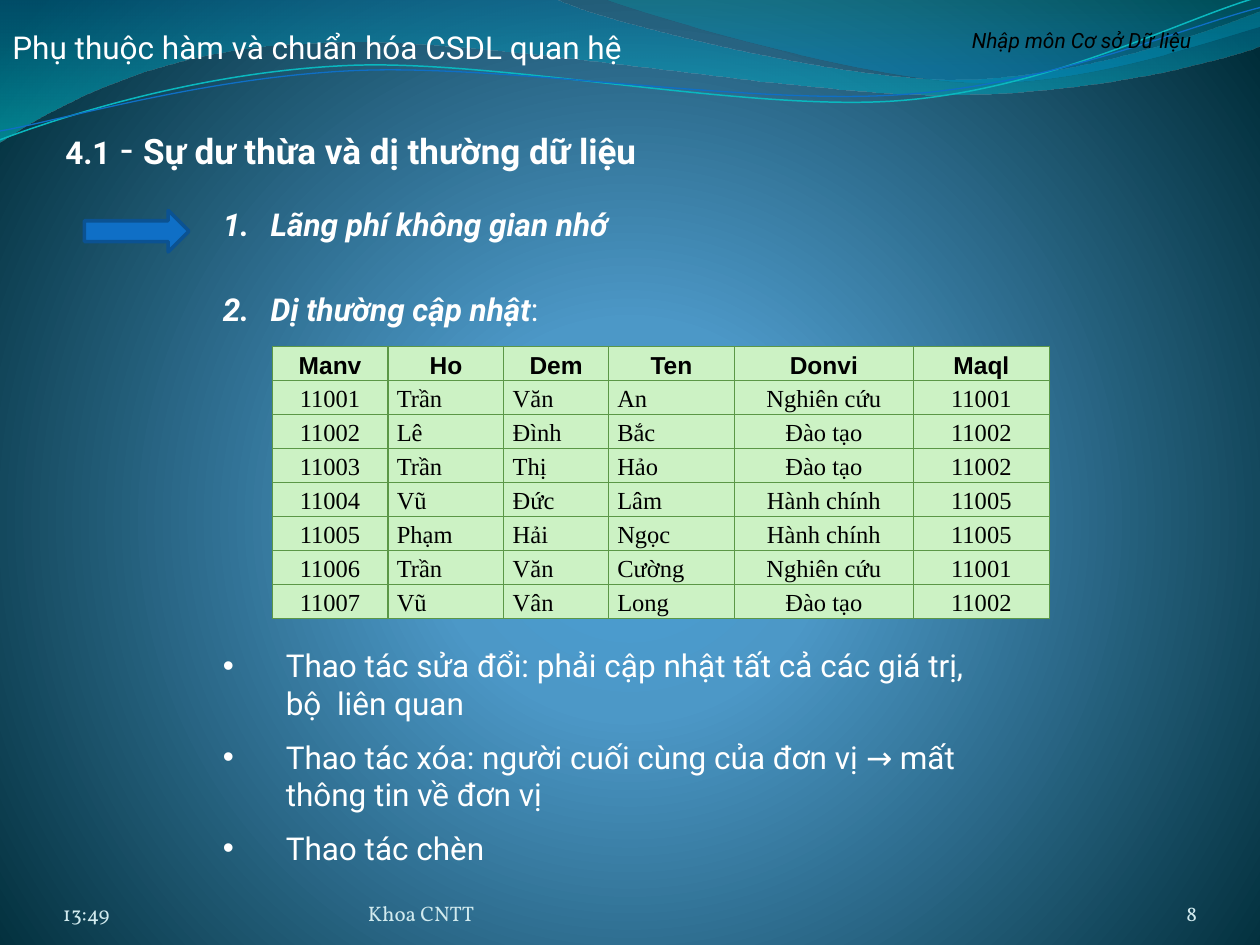
import pptx
import pptx.dml.color
import pptx.enum.shapes
import pptx.enum.text
import pptx.oxml.ns
import pptx.util
from lxml import etree

Inches = pptx.util.Inches
Pt = pptx.util.Pt
ALIGN = pptx.enum.text.PP_ALIGN
ANCHOR = pptx.enum.text.MSO_ANCHOR
qn = pptx.oxml.ns.qn

COLORS = {
    "glow": "4AA0D6", "mid": "4C98C7", "edge": "002C38",
    "deep": "0074A1", "aqua": "00C6CF", "teal": "00A1A9", "sea": "008BBF",
    "cyan": "0AB8BF", "blue": "0F6FC6", "navy": "0B5292",
    "white": "FFFFFF", "black": "000000", "footer": "D1EAEE",
    "cell": "CCF2C4", "border": "5B9747",
}


class SlideBuilder:
    """Holds the style and the current slide, and adds each kind of element."""

    font, size, color = "Roboto", 18, "white"

    def __init__(self, deck):
        self.page = deck.slides.add_slide(deck.slide_layouts[6])

    def rgb(self, name):
        return pptx.dml.color.RGBColor.from_string(COLORS[name])

    def gradient(self, fill, owner, stops, focus=None):
        fill.gradient()
        node = owner.find(".//" + qn("a:gradFill"))
        for child in list(node):
            node.remove(child)
        stop_list = etree.SubElement(node, qn("a:gsLst"))
        for position, name, opacity in stops:
            stop = etree.SubElement(stop_list, qn("a:gs"), pos=str(position * 1000))
            shade = etree.SubElement(stop, qn("a:srgbClr"), val=COLORS[name])
            if opacity < 100:
                etree.SubElement(shade, qn("a:alpha"), val=str(opacity * 1000))
        if focus:
            circle = etree.SubElement(node, qn("a:path"), path="circle")
            sides = {side: str(share * 1000) for side, share in zip("ltrb", focus)}
            etree.SubElement(circle, qn("a:fillToRect"), **sides)
        else:
            etree.SubElement(node, qn("a:lin"), ang="5400000", scaled="1")

    def background(self, stops, focus):
        self.gradient(self.page.background.fill, self.page.element, stops, focus)

    def wave(self, start, steps, stops=None, line=None, width=0.75):
        units = 1000
        corners = [start] + [step[-2:] for step in steps]
        left, top = (min(values) for values in zip(*corners))
        scaled = [(round(x * units), round(y * units)) for x, y in corners]
        builder = self.page.shapes.build_freeform(*scaled[0], scale=Inches(1) / units)
        builder.add_line_segments(scaled[1:], close=bool(stops))
        shape = builder.convert_to_shape()
        segments = list(shape.element.iter(qn("a:lnTo")))
        for segment, step in zip(segments, steps):
            if len(step) == 6:
                curve = etree.Element(qn("a:cubicBezTo"))
                for x, y in zip(step[::2], step[1::2]):
                    etree.SubElement(curve, qn("a:pt"), x=str(round((x - left) * units)),
                                     y=str(round((y - top) * units)))
                segment.getparent().replace(segment, curve)
        shape.shadow.inherit = False
        if stops:
            self.gradient(shape.fill, shape.element, stops)
            shape.line.fill.background()
        else:
            shape.fill.background()
            shape.line.color.rgb = self.rgb(line)
            shape.line.width = Pt(width)

    def arrow(self, left, top, width, height):
        shape = self.page.shapes.add_shape(
            pptx.enum.shapes.MSO_SHAPE.RIGHT_ARROW,
            Inches(left), Inches(top), Inches(width), Inches(height))
        shape.shadow.inherit = False
        shape.fill.solid()
        shape.fill.fore_color.rgb = self.rgb("blue")
        shape.line.color.rgb = self.rgb("navy")
        shape.line.width = Pt(2)

    def style(self, span, size=None, color=None, font=None, bold=False, italic=False):
        span.font.name = font or self.font
        span.font.size = Pt(size or self.size)
        span.font.color.rgb = self.rgb(color or self.color)
        span.font.bold, span.font.italic = bold, italic

    def text(self, place, paragraphs, align=ALIGN.LEFT, hang=0,
             number=None, bullet=None, footer=False):
        box = self.page.shapes.add_textbox(*map(Inches, place))
        frame = box.text_frame
        frame.word_wrap = True
        if footer:
            frame.vertical_anchor = ANCHOR.BOTTOM
            frame.margin_left = frame.margin_right = 0
            frame.margin_top = frame.margin_bottom = 0
        for index, spans in enumerate(paragraphs):
            para = frame.add_paragraph() if index else frame.paragraphs[0]
            para.alignment = align
            if index:
                para.space_before = Pt(9)
            properties = para._p.get_or_add_pPr()
            if hang:
                properties.set("marL", str(Inches(hang)))
                properties.set("indent", str(-Inches(hang)))
            if number:
                etree.SubElement(properties, qn("a:buFont"), typeface="+mj-lt")
                etree.SubElement(properties, qn("a:buAutoNum"),
                                 type="arabicPeriod", startAt=str(number))
            if bullet:
                etree.SubElement(properties, qn("a:buFont"), typeface="Arial")
                etree.SubElement(properties, qn("a:buChar"), char=bullet)
            for words, look in spans:
                span = para.add_run()
                span.text = words
                self.style(span, **look)

    def table(self, left, top, widths, heights, rows, left_columns):
        frame = self.page.shapes.add_table(
            len(rows), len(widths), Inches(left), Inches(top),
            Inches(sum(widths)), Inches(sum(heights)))
        grid = frame.table
        grid.first_row = grid.horz_banding = False
        for column, width in zip(grid.columns, widths):
            column.width = Inches(width)
        for r, (values, height) in enumerate(zip(rows, heights)):
            grid.rows[r].height = Inches(height)
            for c, value in enumerate(values):
                self.cell(grid.cell(r, c), value, r == 0, r > 0 and c in left_columns)

    def cell(self, cell, value, header, to_left):
        properties = cell._tc.get_or_add_tcPr()
        for side in ("lnL", "lnR", "lnT", "lnB"):
            line = etree.SubElement(properties, qn("a:" + side), w=str(Pt(0.75)))
            fill = etree.SubElement(line, qn("a:solidFill"))
            etree.SubElement(fill, qn("a:srgbClr"), val=COLORS["border"])
        cell.fill.solid()
        cell.fill.fore_color.rgb = self.rgb("cell")
        cell.vertical_anchor = ANCHOR.MIDDLE
        cell.margin_left = cell.margin_right = Inches(0.07)
        cell.margin_top = cell.margin_bottom = 0
        para = cell.text_frame.paragraphs[0]
        para.text = value
        para.alignment = ALIGN.LEFT if to_left else ALIGN.CENTER
        para.line_spacing = 1.15
        self.style(para.runs[0], 14, "black", "Arial" if header else "Times New Roman", header)


def main():
    deck = pptx.Presentation()
    deck.slide_width, deck.slide_height = Inches(10), Inches(7.5)
    slide = SlideBuilder(deck)
    slide.background([(0, "glow", 100), (25, "mid", 100), (100, "edge", 100)],
                     (10, 110, 10, 100))
    slide.wave((0, 0), [(4.4, -0.01), (4.76, 0.17, 6.64, 0.63, 7.58, 0.63),
                        (8.53, 0.63, 9.58, 0.26, 10, 0.09), (10.01, 0.36),
                        (9.83, 0.44, 8.7, 0.76, 7.46, 0.75),
                        (6.22, 0.75, 3.82, 0.28, 2.57, 0.34),
                        (1.29, 0.36, 0.46, 0.83, -0.01, 1.13)],
               stops=[(0, "deep", 45), (100, "aqua", 55)])
    slide.wave((4.79, -0.01), [(5.09, 0.11, 6.82, 0.62, 7.69, 0.65),
                               (8.56, 0.69, 9.61, 0.32, 10, 0.21), (10, 0)],
               stops=[(0, "teal", 30), (80, "sea", 45)])
    slide.wave((0, 1.11), [(0.48, 0.93, 1.58, 0.57, 2.77, 0.52),
                           (3.95, 0.47, 5.93, 0.89, 7.13, 0.8),
                           (8.33, 0.71, 9.38, 0.15, 9.98, -0.02)], line="cyan", width=0.85)
    slide.wave((0, 1.04), [(0.47, 0.96, 1.64, 0.61, 2.83, 0.56),
                           (4.03, 0.51, 5.97, 0.84, 7.17, 0.75),
                           (8.36, 0.67, 9.41, 0.21, 10, 0.06)], line="blue")

    slide.text((7.17, 0.17, 2.83, 0.3), [[("Nhập môn Cơ sở Dữ liệu",
               {"size": 12, "color": "black", "italic": True})]], ALIGN.CENTER)
    slide.text((0, 0.17, 5.11, 0.4), [[("Phụ thuộc hàm và chuẩn hóa CSDL quan hệ", {})]])
    small = {"size": 12, "color": "footer", "font": "Vollkorn"}
    for left, width, words, align in ((0.5, 2.33, "13:49", ALIGN.LEFT),
                                      (2.92, 3.67, "Khoa CNTT", ALIGN.LEFT),
                                      (8.67, 0.83, "8", ALIGN.RIGHT)):
        slide.text((left, 6.95, width, 0.4), [[(words, small)]], align, footer=True)

    slide.text((0.42, 0.92, 7, 0.5), [[
        ("4.1", {"bold": True}), (" - ", {"size": 24}),
        ("Sự dư thừa và dị thường dữ liệu", {"size": 20, "bold": True})]], hang=0.28)
    slide.arrow(0.67, 1.67, 0.83, 0.33)
    strong = {"bold": True, "italic": True}
    slide.text((1.67, 1.58, 3.7, 0.4), [[("Lãng phí không gian nhớ", strong)]],
               hang=0.38, number=1)
    slide.text((1.67, 2.25, 3.11, 0.4), [[("Dị thường cập nhật", strong), (":", {})]],
               hang=0.38, number=2)
    effects = ["Thao tác sửa đổi: phải cập nhật tất cả các giá trị, bộ  liên quan",
               "Thao tác xóa: người cuối cùng của đơn vị → mất thông tin về đơn vị",
               "Thao tác chèn"]
    slide.text((1.67, 5.08, 6.17, 1.92), [[(words, {})] for words in effects],
               hang=0.5, bullet="•")

    staff = [("Manv", "Ho", "Dem", "Ten", "Donvi", "Maql"),
             ("11001", "Trần", "Văn", "An", "Nghiên cứu", "11001"),
             ("11002", "Lê", "Đình", "Bắc", "Đào tạo", "11002"),
             ("11003", "Trần", "Thị", "Hảo", "Đào tạo", "11002"),
             ("11004", "Vũ", "Đức", "Lâm", "Hành chính", "11005"),
             ("11005", "Phạm", "Hải", "Ngọc", "Hành chính", "11005"),
             ("11006", "Trần", "Văn", "Cường", "Nghiên cứu", "11001"),
             ("11007", "Vũ", "Vân", "Long", "Đào tạo", "11002")]
    slide.table(2.16, 2.75, [0.92, 0.92, 0.83, 1, 1.42, 1.08], [0.27] * 8,
                staff, left_columns=(1, 2, 3))
    deck.save("out.pptx")


if __name__ == "__main__":
    main()
